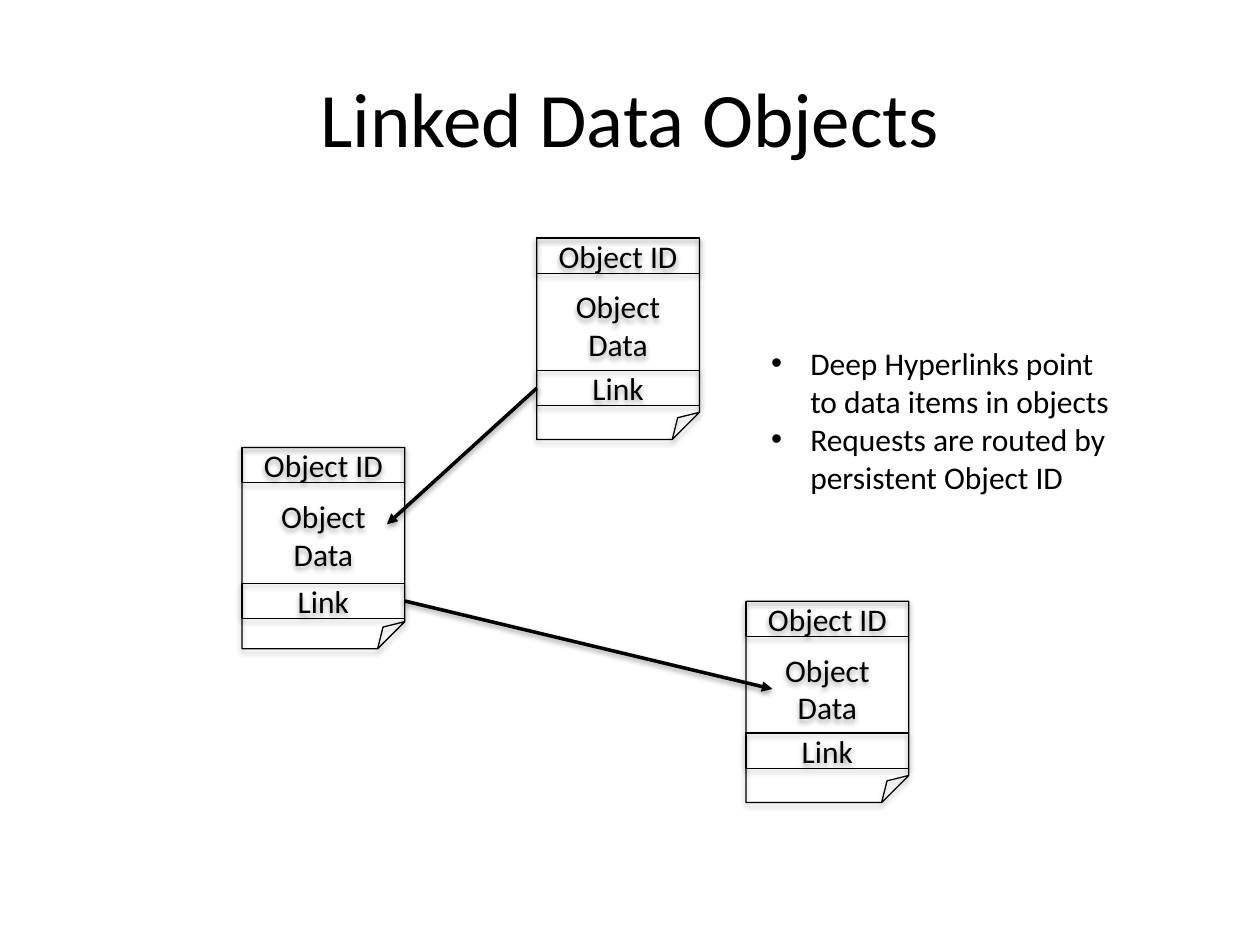
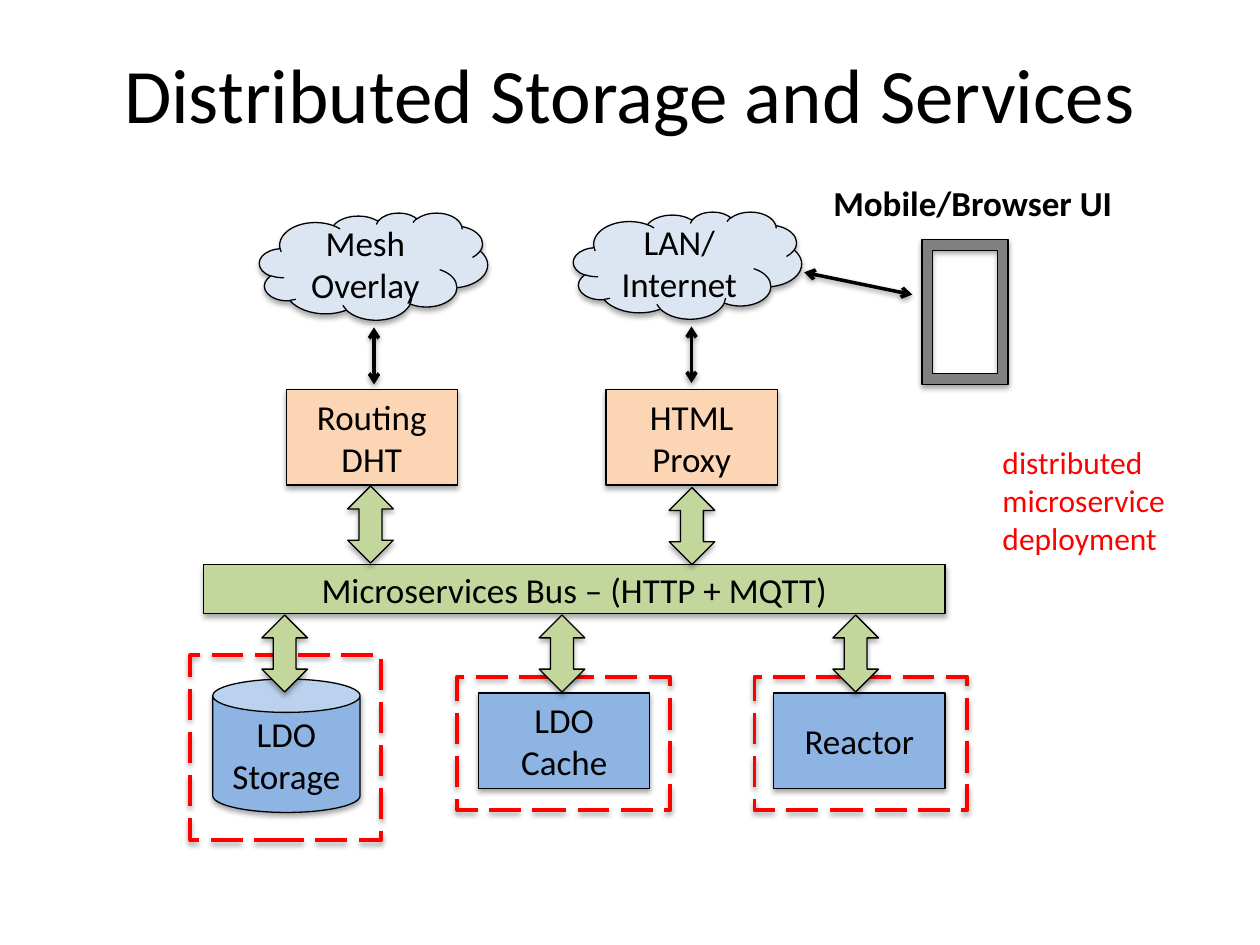
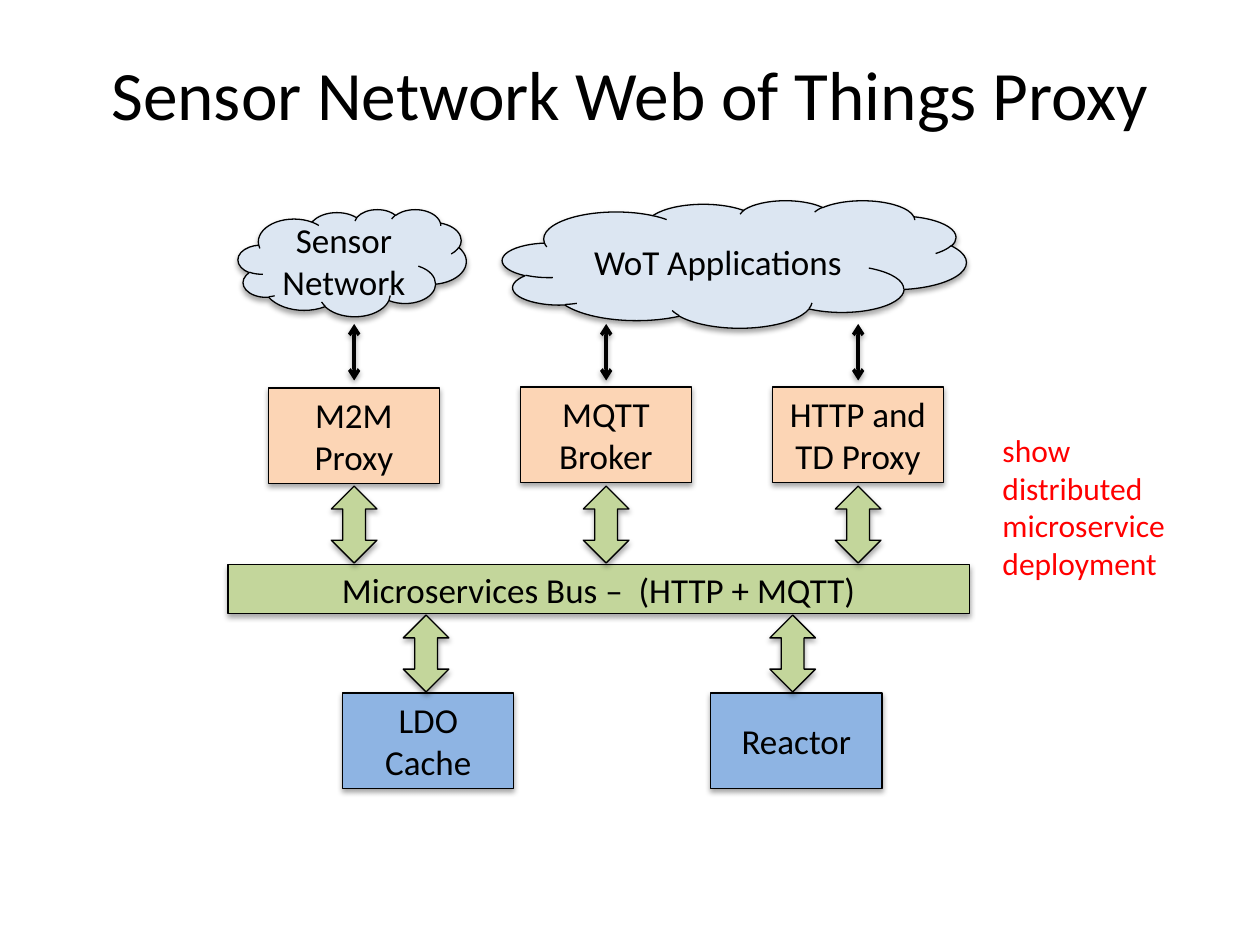
from lxml import etree
from pptx import Presentation
from pptx import util as u
from pptx.dml import color as dml_color
from pptx.enum import dml, shapes, text
from pptx.oxml import ns

COLORS = {
    "ink": "000000",
    "alert": "FF0000",
    "store": "8EB4E3",
    "bus": "C3D69B",
    "proxy": "FCD5B5",
    "cloud": "DCE6F2",
    "device": "808080",
}
FONT = "Calibri"
KIND = shapes.MSO_SHAPE
BOX_SIZE = (3.45, 1.93)
CLOUD_SIZE = (4.6, 2.16)
BUS_SIZE = (14.94, 0.99)
BUS_ARROW_SIZE = (0.92, 1.55)
BUS_TOP = 11.38
STORE_TOP = 13.97
STORE_ARROW_TOP = 12.4


def write_text(paragraph, content, size, color="ink", bold=False):
    run = paragraph.add_run()
    run.text = content
    run.font.name = FONT
    run.font.size = u.Pt(size)
    run.font.bold = bold
    run.font.color.rgb = dml_color.RGBColor.from_string(COLORS[color])


def add_block(slide, kind, position, size, fill=None, content="", font_size=20):
    """Add an outlined preset shape that keeps the soft shadow of the theme."""
    shape = slide.shapes.add_shape(kind, *(u.Cm(n) for n in position + size))
    if fill:
        shape.fill.solid()
        shape.fill.fore_color.rgb = dml_color.RGBColor.from_string(COLORS[fill])
    else:
        shape.fill.background()
    shape.line.color.rgb = dml_color.RGBColor.from_string(COLORS["ink"])
    shape.line.width = u.Pt(0.75)
    if content:
        shape.text_frame.vertical_anchor = text.MSO_ANCHOR.MIDDLE
        paragraph = shape.text_frame.paragraphs[0]
        paragraph.alignment = text.PP_ALIGN.CENTER
        write_text(paragraph, content, font_size)
    return shape


presentation = Presentation()
presentation.slide_width = u.Cm(25.4)
presentation.slide_height = u.Cm(19.05)

# Slides and titles: layout 1 has a body, layout 5 only a title
slides = []
for layout, title, top, size in [
    (1, "Linked Data Objects", 0.76, 44),
    (5, "Distributed Storage and Services", 0.28, 44),
    (5, "Sensor Network Web of Things Proxy", 0.28, 39.6),
]:
    slide = presentation.slides.add_slide(presentation.slide_layouts[layout])
    shape = slide.shapes.title
    shape.left, shape.top, shape.width, shape.height = (
        u.Cm(n) for n in (1.27, top, 22.86, 3.18)
    )
    shape.text_frame.vertical_anchor = text.MSO_ANCHOR.MIDDLE
    paragraph = shape.text_frame.paragraphs[0]
    paragraph.alignment = text.PP_ALIGN.CENTER
    write_text(paragraph, title, size)
    slides.append(slide)
objects_slide, storage_slide, sensor_slide = slides

# Linked data objects
links = []
for left, top, link_top in [(4.88, 9.02, 11.76), (10.82, 4.8, 7.47), (15.04, 12.12, 14.78)]:
    strip = (3.28, 0.71)
    add_block(objects_slide, KIND.RECTANGLE, (left, top), strip, None, "Object ID", 18)
    add_block(objects_slide, KIND.FOLDED_CORNER, (left, top), (3.28, 4.06), None, "Object Data", 18)
    links.append(
        add_block(objects_slide, KIND.RECTANGLE, (left, link_top), strip, None, "Link", 18)
    )

body = objects_slide.placeholders[1]
body.left, body.top, body.width, body.height = (u.Cm(n) for n in (15.29, 6.81, 7.57, 3.33))
frame = body.text_frame
frame.auto_size = text.MSO_AUTO_SIZE.NONE
for index, content in enumerate([
    "Deep Hyperlinks point to data items in objects",
    "Requests are routed by persistent Object ID",
]):
    paragraph = frame.add_paragraph() if index else frame.paragraphs[0]
    paragraph.space_before = u.Pt(0)
    properties = paragraph._p.get_or_add_pPr()
    properties.set("marL", str(u.Cm(0.79)))
    properties.set("indent", str(-u.Cm(0.79)))
    etree.SubElement(properties, ns.qn("a:buChar")).set("char", "•")
    write_text(paragraph, content, 18)

# Distributed storage: deployment outlines
for position, size in [
    ((15.21, 13.64), (4.29, 2.69)),
    ((9.22, 13.64), (4.29, 2.69)),
    ((3.84, 13.21), (3.84, 3.73)),
]:
    outline = add_block(storage_slide, KIND.RECTANGLE, position, size)
    outline.line.color.rgb = dml_color.RGBColor.from_string(COLORS["alert"])
    outline.line.width = u.Pt(2.25)
    outline.line.dash_style = dml.MSO_LINE.LONG_DASH

# Distributed storage: special blocks
add_block(storage_slide, KIND.CAN, (4.29, 13.69), (2.97, 2.69), "store", "LDO Storage")
add_block(storage_slide, KIND.FRAME, (18.59, 4.83), (1.73, 2.92), "device")

# Services around the bus on both architecture slides
for slide, left, content in [
    (storage_slide, 4.11, "Microservices Bus – (HTTP + MQTT)"),
    (sensor_slide, 4.6, "Microservices Bus –  (HTTP + MQTT)"),
]:
    add_block(slide, KIND.RECTANGLE, (left, BUS_TOP), BUS_SIZE, "bus", content)

for slide, left, top, fill, content in [
    (storage_slide, 5.77, 7.85, "proxy", "Routing DHT"),
    (storage_slide, 12.22, 7.85, "proxy", "HTML Proxy"),
    (storage_slide, 9.65, STORE_TOP, "store", "LDO Cache"),
    (storage_slide, 15.6, STORE_TOP, "store", "Reactor"),
    (sensor_slide, 5.41, 7.82, "proxy", "M2M Proxy"),
    (sensor_slide, 10.49, 7.8, "proxy", "MQTT Broker"),
    (sensor_slide, 15.57, 7.8, "proxy", "HTTP and TD Proxy"),
    (sensor_slide, 6.91, STORE_TOP, "store", "LDO Cache"),
    (sensor_slide, 14.33, STORE_TOP, "store", "Reactor"),
]:
    add_block(slide, KIND.RECTANGLE, (left, top), BOX_SIZE, fill, content)

for slide, position, size, content in [
    (storage_slide, (5.23, 4.29), CLOUD_SIZE, "Mesh Overlay"),
    (storage_slide, (11.56, 4.27), CLOUD_SIZE, "LAN/Internet"),
    (sensor_slide, (4.8, 4.22), CLOUD_SIZE, "Sensor Network"),
    (sensor_slide, (10.13, 4.04), (9.35, 2.57), "WoT Applications"),
]:
    add_block(slide, KIND.CLOUD, position, size, "cloud", content)

for slide, top, lefts in [
    (storage_slide, 9.8, [7.01]),
    (storage_slide, 9.83, [13.49]),
    (storage_slide, STORE_ARROW_TOP, [5.28, 10.87, 16.79]),
    (sensor_slide, 9.8, [6.68, 11.76, 16.84]),
    (sensor_slide, STORE_ARROW_TOP, [8.13, 15.52]),
]:
    for left in lefts:
        add_block(slide, KIND.UP_DOWN_ARROW, (left, top), BUS_ARROW_SIZE, "bus")

# Labels and notes
for slide, area, content, size, color, is_label in [
    (storage_slide, (16.51, 3.53, 6.2, 1.12), "Mobile/Browser UI", 20, "ink", True),
    (storage_slide, (19.96, 8.81, 4.37, 2.57),
     "distributed microservice deployment", 18, "alert", False),
    (sensor_slide, (19.96, 8.56, 4.37, 3.33),
     "show distributed microservice deployment", 18, "alert", False),
]:
    box = slide.shapes.add_textbox(*(u.Cm(n) for n in area))
    box.text_frame.word_wrap = not is_label
    paragraph = box.text_frame.paragraphs[0]
    paragraph.alignment = text.PP_ALIGN.CENTER if is_label else text.PP_ALIGN.LEFT
    write_text(paragraph, content, size, color, is_label)

# Link arrows start at a link strip; traffic arrows point both ways
arrows = [
    (objects_slide, (8.16, 12.12), (15.57, 13.89), (links[0], 3)),
    (objects_slide, (10.82, 7.82), (7.8, 10.57), (links[1], 1)),
    (storage_slide, (7.54, 6.6), (7.54, 7.75), None),
    (storage_slide, (13.94, 6.58), (13.94, 7.72), None),
    (storage_slide, (16.21, 5.49), (18.39, 5.94), None),
]
for column in range(3):
    center = 7.14 + column * 5.08
    arrows.append((sensor_slide, (center, 6.53), (center, 7.67), None))

for slide, begin, end, source in arrows:
    connector = slide.shapes.add_connector(
        shapes.MSO_CONNECTOR.STRAIGHT, *(u.Cm(n) for n in begin + end)
    )
    connector.line.color.rgb = dml_color.RGBColor.from_string(COLORS["ink"])
    connector.line.width = u.Pt(2)
    if source:
        connector.begin_connect(*source)
        heads = [("a:tailEnd", "triangle")]
    else:
        heads = [("a:headEnd", "arrow"), ("a:tailEnd", "arrow")]
    for tag, head in heads:
        etree.SubElement(connector.line._get_or_add_ln(), ns.qn(tag)).set("type", head)

presentation.save("out.pptx")
